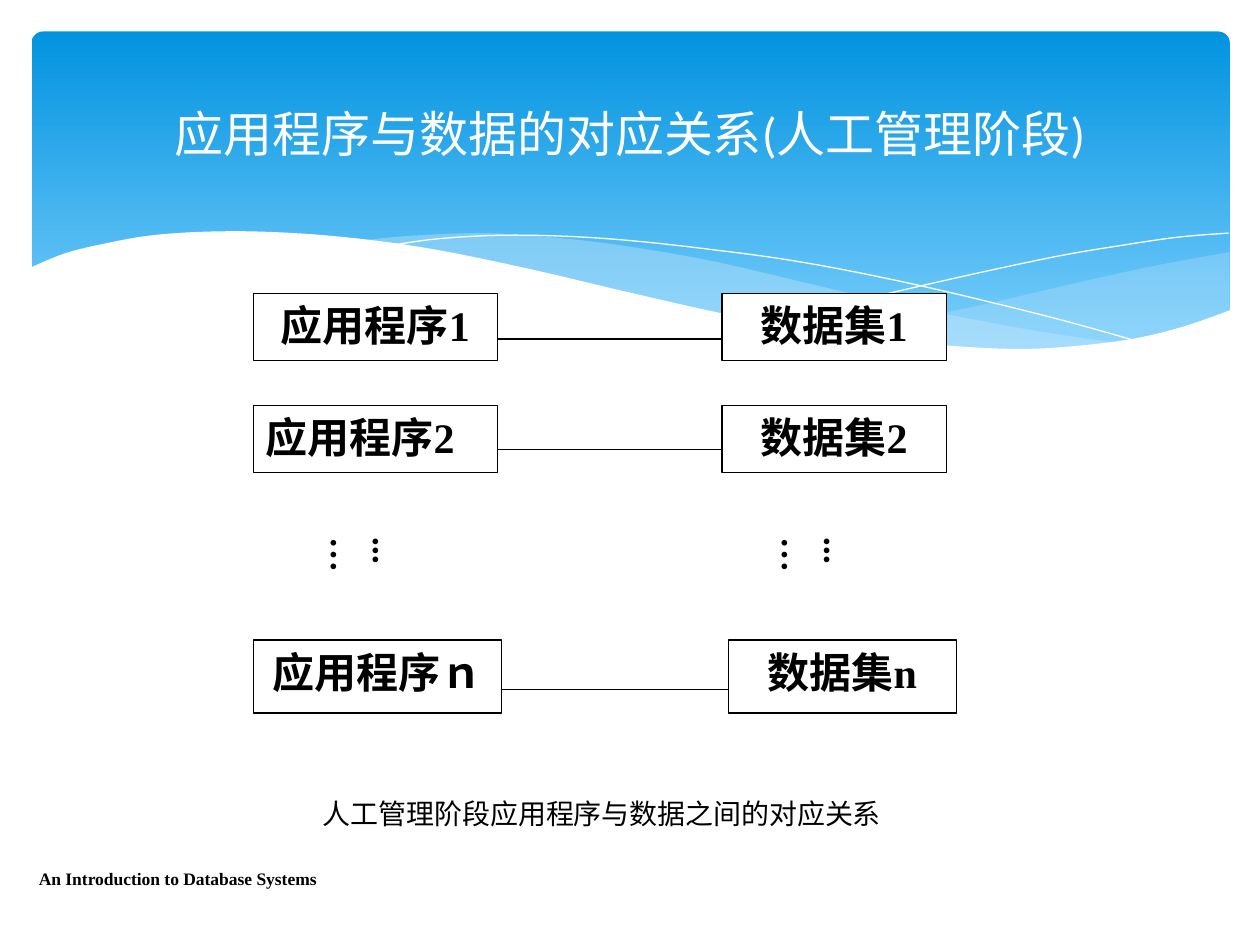
from typing import NamedTuple

from lxml import etree
from pptx import Presentation
from pptx.dml.color import RGBColor
from pptx.enum.shapes import MSO_CONNECTOR, MSO_SHAPE
from pptx.enum.text import MSO_ANCHOR, PP_ALIGN
from pptx.oxml.ns import qn
from pptx.util import Inches, Pt

CENTER, LEFT, JUSTIFY = PP_ALIGN.CENTER, PP_ALIGN.LEFT, PP_ALIGN.JUSTIFY
TOP, MIDDLE = MSO_ANCHOR.TOP, MSO_ANCHOR.MIDDLE
RECT, ROUNDED = MSO_SHAPE.RECTANGLE, MSO_SHAPE.ROUNDED_RECTANGLE
STRAIGHT = MSO_CONNECTOR.STRAIGHT
SERIF, SANS = "Times New Roman", "Calibri"
BLACK, WHITE, PALE_BLUE = "000000", "FFFFFF", "C6E7FC"

Points = list[tuple[float, float]]


class Wave(NamedTuple):
    edges: list[Points]  # each edge is smooth; edges meet in corners
    fill: str | None = None
    opacity: int = 100


class Pair(NamedTuple):
    program: str
    data_set: str
    top: float
    height: float
    program_width: float
    data_left: float
    data_width: float
    link_y: float
    align: PP_ALIGN = CENTER


WAVES = [
    Wave([[(9.76, 2), (9.21, 2.1), (8.61, 2.23), (7.79, 2.42), (7.06, 2.57), (6.61, 2.65)],
          [(6.61, 2.65), (7.05, 2.71), (7.57, 2.76), (8.14, 2.78), (8.63, 2.75),
           (9.05, 2.69), (9.42, 2.59), (9.76, 2.47)]], PALE_BLUE, 29),
    Wave([[(8.93, 2.73), (8.37, 2.65), (7.75, 2.54), (7.06, 2.4), (6.29, 2.22),
           (5.69, 2.08), (5.14, 1.98), (4.64, 1.91), (4.2, 1.87), (3.8, 1.85),
           (3.28, 1.87), (2.86, 1.91)],
          [(2.86, 1.91), (3.42, 1.99), (4.04, 2.11), (4.91, 2.32), (5.66, 2.48),
           (6.34, 2.61), (6.95, 2.7), (7.48, 2.76), (8.07, 2.79), (8.57, 2.77),
           (8.93, 2.73)]], PALE_BLUE, 40),
    Wave([[(3.09, 1.95), (3.43, 1.9), (3.87, 1.87), (4.33, 1.87), (4.89, 1.9),
           (5.56, 1.97), (6.36, 2.08), (7.27, 2.26), (8.31, 2.51), (9.07, 2.72)]]),
    Wave([[(6.13, 2.57), (6.72, 2.41), (7.48, 2.23), (8.36, 2.04), (8.95, 1.94),
           (9.37, 1.88), (9.75, 1.85)]]),
    Wave([[(9.77, 2.46), (9.4, 2.59), (8.99, 2.69), (8.5, 2.75), (8.09, 2.77),
           (7.61, 2.75), (7.08, 2.7), (6.47, 2.62), (5.79, 2.5), (5.03, 2.33),
           (4.18, 2.13), (3.39, 1.97), (2.71, 1.88), (2.11, 1.84), (1.61, 1.84),
           (1.19, 1.87), (0.85, 1.93), (0.52, 2.01), (0.23, 2.13)],
          [(0.23, 3.29), (9.77, 3.29)]], WHITE),
]

PAIRS = [
    Pair("应用程序1", "数据集1", 2.33, 0.53, 1.94, 5.73, 1.78, 2.69),
    Pair("应用程序2", "数据集2", 3.22, 0.53, 1.94, 5.73, 1.78, 3.57, JUSTIFY),
    Pair("应用程序ｎ", "数据集n", 5.08, 0.58, 1.97, 5.78, 1.81, 5.47),
]
PROGRAM_LEFT = 2.01


def rgb(value: str) -> RGBColor:
    return RGBColor.from_string(value)


def smooth(knots: Points, steps: int = 6) -> Points:
    """Catmull-Rom curve through the knots."""
    if len(knots) < 3:
        return knots
    padded = [knots[0], *knots, knots[-1]]
    curve = [knots[0]]
    for a, b, c, d in zip(padded, padded[1:], padded[2:], padded[3:]):
        for step in range(1, steps + 1):
            t = step / steps
            x, y = (
                (2 * q + (r - p) * t + (2 * p - 5 * q + 4 * r - s) * t**2
                 + (3 * q - p - 3 * r + s) * t**3) / 2
                for p, q, r, s in zip(a, b, c, d)
            )
            curve.append((x, y))
    return curve


def write(shape, text: str, *, size: float, font: str = SERIF, color: str = BLACK,
          bold: bool = False, align: PP_ALIGN = LEFT, anchor: MSO_ANCHOR = TOP,
          wrap: bool = True) -> None:
    frame = shape.text_frame
    frame.word_wrap = wrap
    frame.vertical_anchor = anchor
    paragraph = frame.paragraphs[0]
    paragraph.alignment = align
    run = paragraph.add_run()
    run.text = text
    run.font.size = Pt(size)
    run.font.name = font
    run.font.bold = bold
    run.font.color.rgb = rgb(color)


def add_text(slide, text: str, left: float, top: float, width: float, height: float,
             **style):
    box = slide.shapes.add_textbox(*map(Inches, (left, top, width, height)))
    write(box, text, **style)
    return box


def draw_wave(slide, wave: Wave) -> None:
    points = [(Inches(x), Inches(y)) for edge in wave.edges for x, y in smooth(edge)]
    builder = slide.shapes.build_freeform(*points[0])
    builder.add_line_segments(points[1:], close=wave.fill is not None)
    shape = builder.convert_to_shape()
    shape.shadow.inherit = False
    if wave.fill is None:
        shape.fill.background()
        shape.line.color.rgb = rgb(WHITE)
        shape.line.width = Pt(0)
        return
    shape.fill.solid()
    shape.fill.fore_color.rgb = rgb(wave.fill)
    shape.line.fill.background()
    if wave.opacity < 100:
        color = shape.fill._xPr.find(qn("a:solidFill"))[0]
        etree.SubElement(color, qn("a:alpha"), val=str(wave.opacity * 1000))


def draw_banner(slide) -> None:
    banner = slide.shapes.add_shape(ROUNDED, *map(Inches, (0.25, 0.25, 9.51, 2.7)))
    banner.adjustments[0] = 0.034
    banner.shadow.inherit = False
    banner.line.fill.background()
    banner.fill.gradient()
    banner.fill.gradient_angle = 270
    for stop, (position, color) in zip(banner.fill.gradient_stops,
                                       [(0, "0293E0"), (1, "83D3FE")]):
        stop.position = position
        stop.color.rgb = rgb(color)


def draw_box(slide, text: str, left: float, top: float, width: float, height: float,
             align: PP_ALIGN = CENTER) -> None:
    box = slide.shapes.add_shape(RECT, *map(Inches, (left, top, width, height)))
    box.shadow.inherit = False
    box.fill.solid()
    box.fill.fore_color.rgb = rgb(WHITE)
    box.line.color.rgb = rgb(BLACK)
    box.line.width = Pt(0.75)
    write(box, text, size=24, bold=True, align=align)


def draw_pair(slide, pair: Pair) -> None:
    draw_box(slide, pair.program, PROGRAM_LEFT, pair.top, pair.program_width,
             pair.height, pair.align)
    draw_box(slide, pair.data_set, pair.data_left, pair.top, pair.data_width, pair.height)
    link = slide.shapes.add_connector(
        STRAIGHT, Inches(PROGRAM_LEFT + pair.program_width), Inches(pair.link_y),
        Inches(pair.data_left), Inches(pair.link_y))
    link.line.color.rgb = rgb(BLACK)
    link.line.width = Pt(0.75)
    etree.SubElement(link._element.spPr, qn("a:effectLst"))


def draw_dots(slide, left: float) -> None:
    dots = add_text(slide, "...…", left, 4.17, 0.53, 0.67, size=20, bold=True)
    frame = dots.text_frame
    frame.margin_left = frame.margin_right = Inches(0.05)
    frame.margin_top = frame.margin_bottom = Inches(0.1)
    frame._txBody.bodyPr.set("vert", "eaVert")


def main() -> None:
    prs = Presentation()
    prs.slide_width, prs.slide_height = Inches(10), Inches(7.5)
    slide = prs.slides.add_slide(prs.slide_layouts[6])

    # Banner with waves
    draw_banner(slide)
    for wave in WAVES:
        draw_wave(slide, wave)

    # Footer and title
    add_text(slide, "An Introduction to Database Systems", 0.21, 6.84, 4.14, 0.4,
             size=10, bold=True)
    add_text(slide, "应用程序与数据的对应关系(人工管理阶段)", 0.5, 0.37, 9, 1.37,
             size=28, font=SANS, color=WHITE, align=CENTER, anchor=MIDDLE)

    # Programs linked to their data sets
    for pair in PAIRS:
        draw_pair(slide, pair)
    for left in (2.76, 6.34):
        draw_dots(slide, left)

    # Caption
    add_text(slide, "人工管理阶段应用程序与数据之间的对应关系", 2.06, 6.27, 5.44, 0.4,
             size=16, align=CENTER, wrap=False)

    prs.save("out.pptx")


if __name__ == "__main__":
    main()
